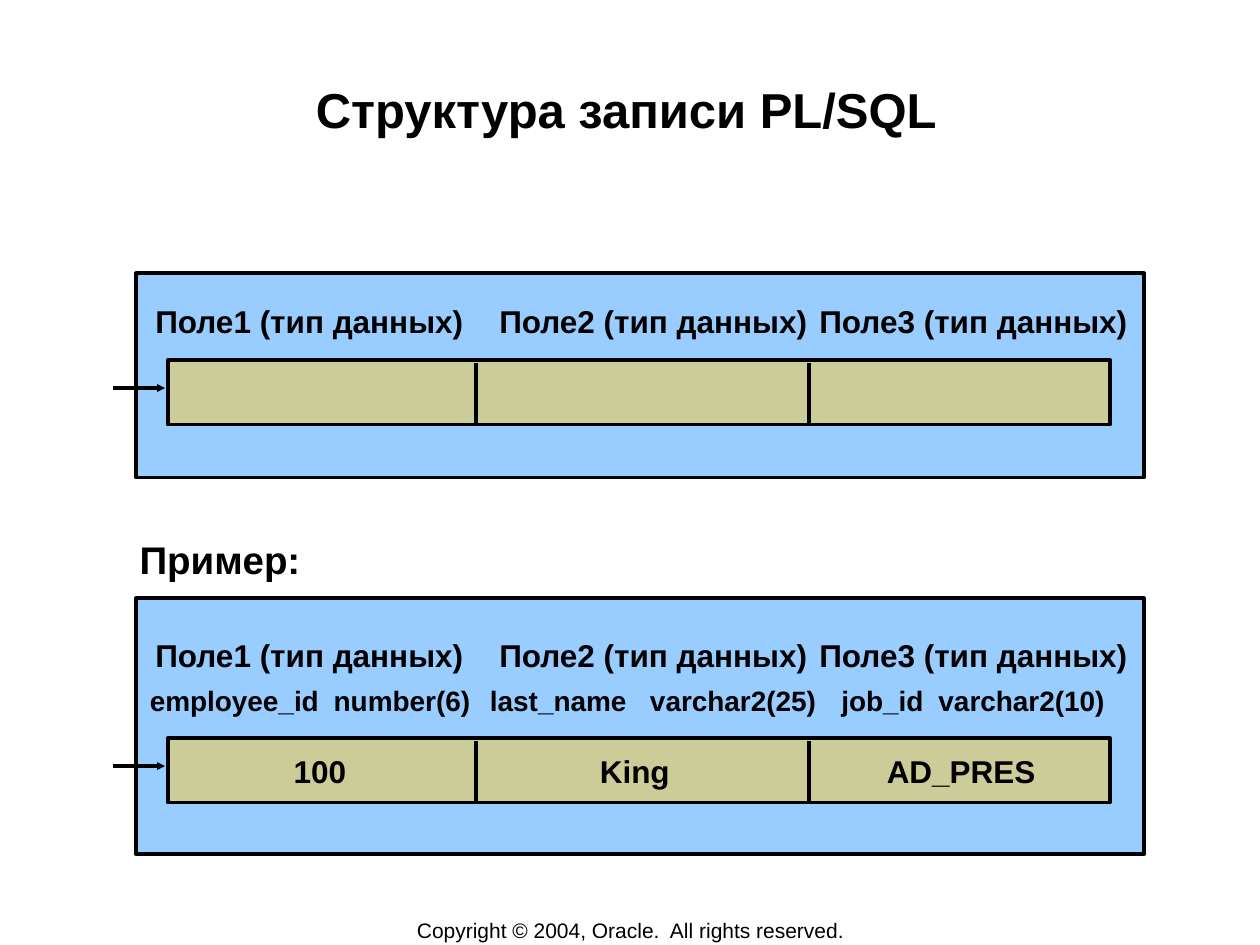
from lxml import etree
from pptx import Presentation
from pptx import util as u
from pptx.dml import color
from pptx.enum import shapes, text
from pptx.oxml import ns

BLACK, BLUE, TAN = "000000", "99CCFF", "CCCC99"
FIELDS = ["Поле1 (тип данных)", "Поле2 (тип данных)", "Поле3 (тип данных)"]
LABEL_LEFTS = [1.13, 3.86, 6.4]
COLUMNS = [
    (1.09, 2.75, "employee_id\tnumber(6)", 1.46),
    (3.79, 2.79, "last_name\tvarchar2(25)", 1.27),
    (6.58, 2.3, "job_id\tvarchar2(10)", 0.77),
]
VALUES = ["100", "King", "AD_PRES"]
VALUE_CENTERS = [1.11, 3.61, 6.2]


def rgb(value):
    return color.RGBColor.from_string(value)


class RecordSlide:
    font = "Arial"
    line_width = u.Pt(2.25)

    def __init__(self, prs):
        self.s = prs.slides.add_slide(prs.slide_layouts[5])

    def fill_text(self, tf, words, size, bold=True, align=text.PP_ALIGN.LEFT, tabs=(), tab_align="l"):
        p = tf.paragraphs[0]
        p.text = words
        p.alignment = align
        if tabs:
            tab_list = etree.SubElement(p._p.get_or_add_pPr(), ns.qn("a:tabLst"))
            for pos in tabs:
                etree.SubElement(tab_list, ns.qn("a:tab"), pos=str(u.Inches(pos)), algn=tab_align)
        p.font.name = self.font
        p.font.size = u.Pt(size)
        p.font.bold = bold
        p.font.color.rgb = rgb(BLACK)

    def title(self, words, left, top, width, height):
        sp = self.s.shapes.title
        sp.left, sp.top, sp.width, sp.height = map(u.Inches, (left, top, width, height))
        tf = sp.text_frame
        tf.word_wrap = True
        tf.vertical_anchor = text.MSO_ANCHOR.TOP
        tf.margin_left = tf.margin_right = tf.margin_top = tf.margin_bottom = u.Inches(0.01)
        self.fill_text(tf, words, 28, align=text.PP_ALIGN.CENTER)

    def label(self, words, left, top, width, height, size, wrap=False, **style):
        sp = self.s.shapes.add_textbox(*map(u.Inches, (left, top, width, height)))
        tf = sp.text_frame
        tf.word_wrap = wrap
        if wrap:
            tf.margin_right = 0
        self.fill_text(tf, words, size, **style)
        return tf

    def rect(self, left, top, width, height, fill):
        sp = self.s.shapes.add_shape(
            shapes.MSO_SHAPE.RECTANGLE, *map(u.Inches, (left, top, width, height)))
        sp.shadow.inherit = False
        sp.fill.solid()
        sp.fill.fore_color.rgb = rgb(fill)
        sp.line.color.rgb = rgb(BLACK)
        sp.line.width = self.line_width
        return sp

    def line(self, x1, y1, x2, y2, arrow=False):
        cx = self.s.shapes.add_connector(
            shapes.MSO_CONNECTOR.STRAIGHT, *map(u.Inches, (x1, y1, x2, y2)))
        cx.line.color.rgb = rgb(BLACK)
        cx.line.width = self.line_width
        if arrow:
            etree.SubElement(cx.line._get_or_add_ln(), ns.qn("a:tailEnd"),
                             type="triangle", w="sm", len="sm")
        etree.SubElement(cx._element.spPr, ns.qn("a:effectLst"))

    def record(self, top, height, label_top, bar_top, columns=(), values=()):
        self.rect(1.08, top, 8, height, BLUE)
        bar = self.rect(1.33, bar_top, 7.48, 0.51, TAN)
        if values:
            bar.text_frame.word_wrap = True
            self.fill_text(bar.text_frame, "".join("\t" + v for v in values), 18,
                           tabs=VALUE_CENTERS, tab_align="ctr")
        self.line(0.9, bar_top + 0.22, 1.31, bar_top + 0.22, arrow=True)
        for x in (3.78, 6.42):
            self.line(x, bar_top + 0.02, x, bar_top + 0.52)
        for left, field in zip(LABEL_LEFTS, FIELDS):
            self.label(field, left, label_top, 2.65, 0.4, 18, align=text.PP_ALIGN.CENTER)
        for left, width, words, tab in columns:
            self.label(words, left, 5.38, width, 0.37, 16, wrap=True, tabs=[tab])


def main():
    prs = Presentation()
    prs.slide_width, prs.slide_height = u.Inches(10), u.Inches(7.5)
    slide = RecordSlide(prs)
    slide.title("Структура записи PL/SQL", 0.97, 0.62, 8, 0.96)
    slide.record(2.17, 1.62, 2.35, 2.86)
    example = slide.label("Пример:", 1.01, 4.23, 8.01, 0.45, 22, wrap=True)
    example.paragraphs[0].line_spacing = 0.95
    slide.record(4.75, 2.03, 5, 5.86, COLUMNS, VALUES)
    footer = slide.label("Copyright © 2004, Oracle.  All rights reserved.",
                         2.76, 7.28, 4.49, 0.21, 12, bold=False, align=text.PP_ALIGN.CENTER)
    footer.vertical_anchor = text.MSO_ANCHOR.MIDDLE
    prs.save("out.pptx")


if __name__ == "__main__":
    main()
